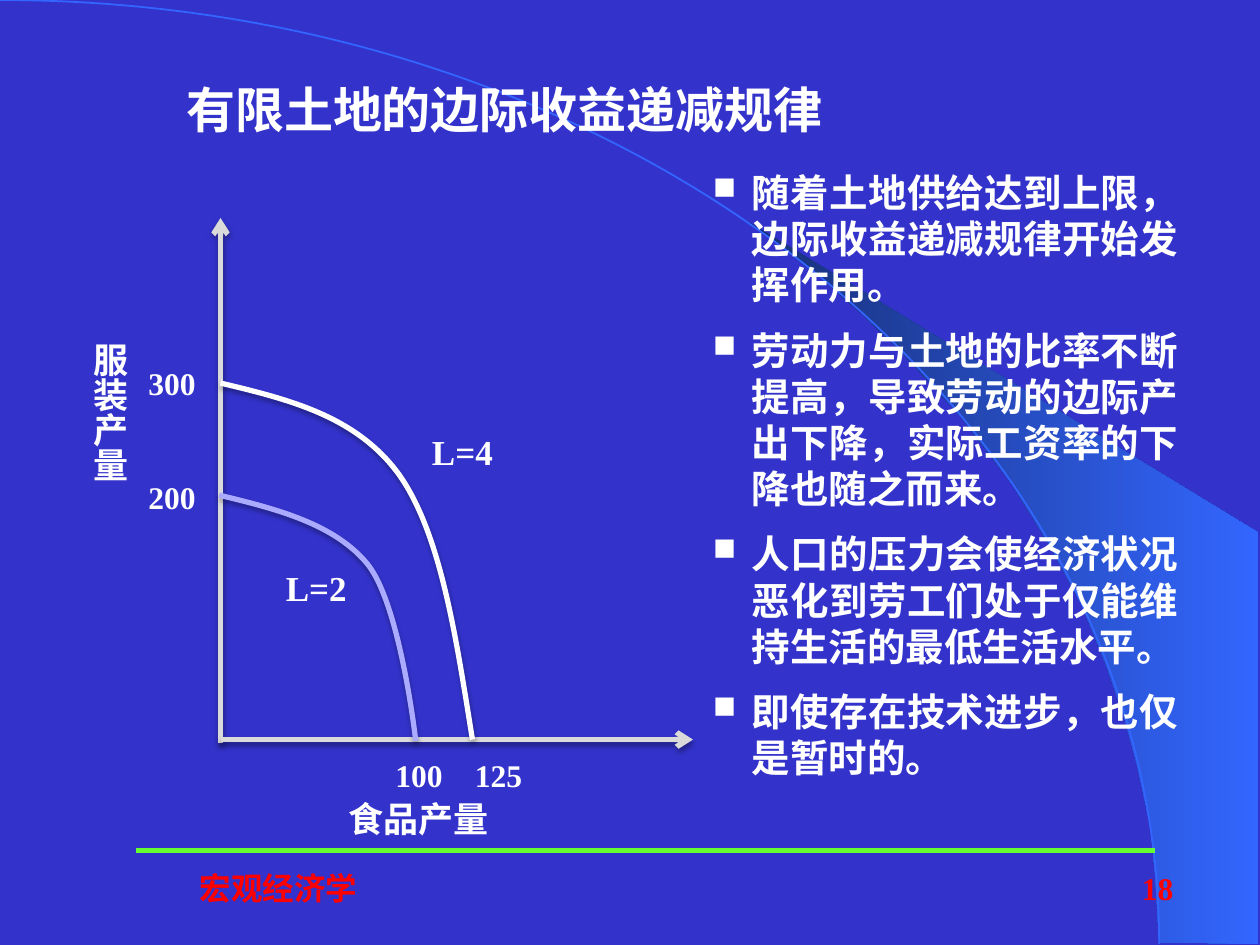
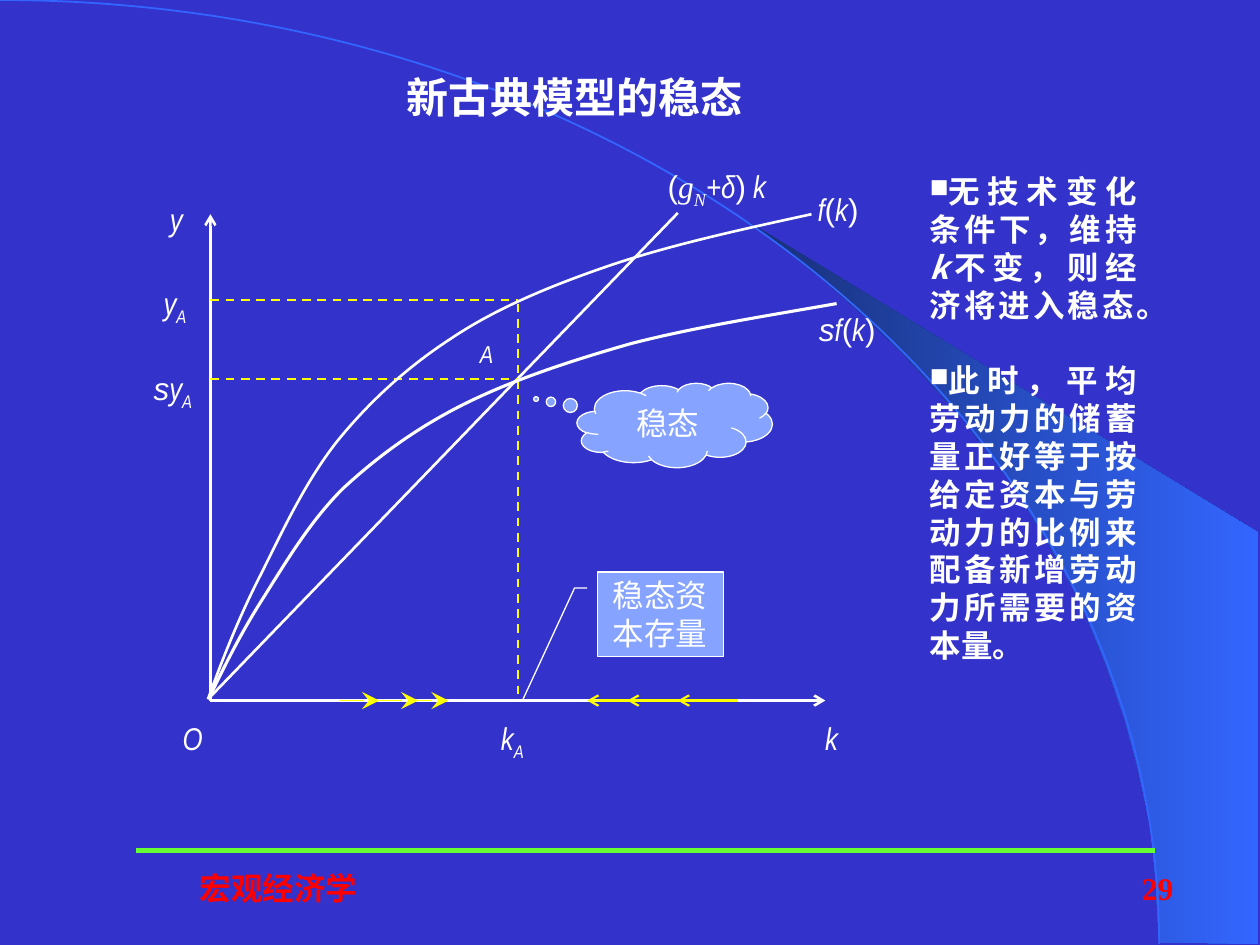
from lxml import etree
from pptx import Presentation
from pptx.dml.color import RGBColor
from pptx.enum import dml, shapes, text
from pptx.oxml import ns
from pptx.util import Inches, Pt

WHITE, YELLOW, GREY, LILAC = "FFFFFF", "FFFF00", "DADADA", "AAAAFF"
BACK, ARC, GREEN = "3333CC", "3366FF", "66FF33"
RED, PALE = "FF0000", "85A3FF"
CJK, TIMES, ARIAL, NARROW = "Noto Sans CJK SC", "Times New Roman", "Arial", "Arial Narrow"
LEFT, MID, RIGHT, FULL = (text.PP_ALIGN.LEFT, text.PP_ALIGN.CENTER,
                          text.PP_ALIGN.RIGHT, text.PP_ALIGN.JUSTIFY)
LEADING = 1.2


def hue(code):
    return RGBColor.from_string(code)


def node(parent, tag, **attrs):
    child = etree.SubElement(parent, ns.qn(tag))
    for key, value in attrs.items():
        child.set(key, str(value))
    return child


def effect(shape, shadow):
    """Replace the theme's shadow by a soft one, or by none."""
    fx = node(shape.element.spPr, "a:effectLst")
    if shadow:
        cast = node(fx, "a:outerShdw", blurRad=Pt(3.1), dist=Pt(1.8),
                    dir=5400000, rotWithShape=0)
        node(node(cast, "a:srgbClr", val="000000"), "a:alpha", val=35000)


def bend(shape):
    """Join each three straight steps of an outline into one cubic curve."""
    steps = list(shape.element.spPr.iter(ns.qn("a:lnTo")))
    for i in range(0, len(steps), 3):
        cubic = etree.Element(ns.qn("a:cubicBezTo"))
        steps[i].addprevious(cubic)
        for step in steps[i:i + 3]:
            cubic.append(step[0])
            step.getparent().remove(step)


def style(run, size, font, color, bold=False, marks=""):
    """Format a run; marks holds i for italic and s for subscript."""
    run.font.size, run.font.name, run.font.bold = Pt(size), font, bold
    run.font.italic = "i" in marks
    run.font.color.rgb = hue(color)
    props = run.font._element
    node(props, "a:ea", typeface=CJK)
    if "s" in marks:
        props.set("baseline", "-25000")


def write(para, runs, size, font=CJK, color=WHITE, bold=False, align=LEFT):
    """Fill a paragraph with a string or with (text, font, marks) runs."""
    if isinstance(runs, str):
        runs = [(runs, font, "")]
    para.alignment, para.line_spacing = align, Pt(size * LEADING)
    for words, face, marks in runs:
        run = para.add_run()
        run.text = words
        style(run, size, face, color, bold, marks)


def bullet(para, indent=0):
    props = para._p.get_or_add_pPr()
    props.set("marL", str(Inches(indent)))
    props.set("indent", str(-Inches(indent)))
    node(props, "a:buSzPct", val=82000)
    node(props, "a:buChar", char="■")


def tabs(frame, *stops):
    rail = node(frame.paragraphs[0]._p.get_or_add_pPr(), "a:tabLst")
    for stop in stops:
        node(rail, "a:tab", pos=Inches(stop), algn="l")


class Region:
    """A part of a slide, drawn in inches from its own top left corner."""

    def __init__(self, slide, left, top):
        self.shapes, self.left, self.top = slide.shapes, left, top

    def spot(self, x, y):
        return Inches(self.left + x), Inches(self.top + y)

    def line(self, start, end, color, width, head=None, tail=None, dash=False,
             shadow=False):
        link = self.shapes.add_connector(shapes.MSO_CONNECTOR.STRAIGHT,
                                         *self.spot(*start), *self.spot(*end))
        link.line.color.rgb, link.line.width = hue(color), Pt(width)
        if dash:
            link.line.dash_style = dml.MSO_LINE.DASH
        if head:
            node(link.line._get_or_add_ln(), "a:headEnd", type=head, w="lg", len="lg")
        if tail:
            node(link.line._get_or_add_ln(), "a:tailEnd", type=tail)
        effect(link, shadow)

    def outline(self, points, close=False):
        first, *rest = [self.spot(*p) for p in points]
        pen = self.shapes.build_freeform(*first)
        pen.add_line_segments(rest, close=close)
        return pen.convert_to_shape()

    def curve(self, points, color, width, shadow=False):
        """Draw a start point and triples of cubic control points."""
        arc = self.outline(points)
        bend(arc)
        arc.fill.background()
        arc.line.color.rgb, arc.line.width = hue(color), Pt(width)
        effect(arc, shadow)

    def label(self, box, runs, size=18, anchor=text.MSO_ANCHOR.TOP, **look):
        x, y, width, height = box
        area = self.shapes.add_textbox(*self.spot(x, y), Inches(width), Inches(height))
        frame = area.text_frame
        frame.word_wrap, frame.vertical_anchor = True, anchor
        write(frame.paragraphs[0], runs, size, **look)
        return frame

    def stack(self, box, items, size, gap, **look):
        """Write one paragraph for each item, with a gap between them."""
        frame = self.label(box, items[0], size, **look)
        look.pop("anchor", None)
        for item in items[1:]:
            para = frame.add_paragraph()
            write(para, item, size, **look)
            para.space_before = Pt(gap)
        return frame

    def bullets(self, box, items, size, gap, indent=0):
        frame = self.stack(box, items, size, gap, bold=True, align=FULL)
        for para in frame.paragraphs:
            bullet(para, indent)

    def callout(self, kind, box, words, tip):
        x, y, width, height = box
        note = self.shapes.add_shape(kind, *self.spot(x, y), Inches(width), Inches(height))
        for i, value in enumerate(tip):
            note.adjustments[i] = value
        note.fill.solid()
        note.fill.fore_color.rgb = hue(PALE)
        note.line.color.rgb, note.line.width = hue(WHITE), Pt(0.75)
        note.shadow.inherit = False
        note.text_frame.word_wrap = True
        note.text_frame.vertical_anchor = text.MSO_ANCHOR.MIDDLE
        write(note.text_frame.paragraphs[0], words, 18, font=TIMES, align=MID)


def backdrop(slide):
    slide.background.fill.solid()
    slide.background.fill.fore_color.rgb = hue(BACK)
    page = Region(slide, 0, 0)
    sweep = page.outline([
        (9.2, 7.48), (9.99, 7.49), (9.99, 4.23), (5.89, 1.73), (6.24, 1.99),
        (6.53, 2.22), (6.85, 2.5), (7.16, 2.8), (7.62, 3.3), (8.03, 3.84),
        (8.32, 4.31), (8.58, 4.79), (8.78, 5.28), (8.93, 5.72), (9.03, 6.09),
        (9.13, 6.56), (9.17, 6.96), (9.2, 7.48)])
    sweep.fill.gradient()
    sweep.fill.gradient_angle = 0
    for stop, place in zip(sweep.fill.gradient_stops, (0, 1)):
        stop.color.rgb, stop.position = hue(ARC), place
    dark = next(sweep.element.spPr.iter(ns.qn("a:srgbClr")))
    node(dark, "a:gamma")
    node(dark, "a:shade", val=46275)
    node(dark, "a:invGamma")
    sweep.line.fill.background()
    effect(sweep, False)
    page.curve([(0, 0), (5.08, 0), (9.2, 3.35), (9.2, 7.49)], ARC, 1)


def footer(slide, number):
    foot = Region(slide, 0, 6.75)
    foot.line((1.08, 0), (9.17, 0), GREEN, 3)
    look = dict(font=TIMES, color=RED, bold=True, anchor=text.MSO_ANCHOR.MIDDLE)
    foot.label((0.42, 0.05, 3.58, 0.5), "宏观经济学", align=MID, **look)
    foot.label((7.33, 0.05, 2.08, 0.5), str(number), align=RIGHT, **look)


def add_page(deck, number, title, box, size):
    slide = deck.slides.add_slide(deck.slide_layouts[6])
    backdrop(slide)
    footer(slide, number)
    Region(slide, 0, 0).label(box, title, size, bold=True)
    return slide


def frontier(slide, left, top):
    """Plot of the output limits for two amounts of labour."""
    plot = Region(slide, left, top)
    for start, end in (((1.25, 4.4), (1.25, 0.23)), ((1.25, 4.37), (5, 4.37))):
        plot.line(start, end, GREY, 3, tail="arrow", shadow=True)
    plot.curve([(1.24, 2.43), (1.7, 2.54), (2.16, 2.66), (2.42, 2.98),
                (2.68, 3.31), (2.8, 4.38), (2.8, 4.38)], LILAC, 3, shadow=True)
    plot.curve([(1.25, 1.54), (1.79, 1.67), (2.33, 1.8), (2.67, 2.27),
                (3, 2.74), (3.12, 3.56), (3.25, 4.37)], WHITE, 3, shadow=True)
    plot.label((2.17, 4.78, 2.25, 0.44), "食品产量", 20, bold=True)
    ticks = plot.label((2.17, 4.45, 2.67, 0.4), "\t100\t125", font=TIMES, bold=True)
    tabs(ticks, 0.37, 1)
    plot.stack((0.58, 0.12, 0.67, 2.52), ["300", "200"], 18, gap=43.5, font=TIMES,
               bold=True, anchor=text.MSO_ANCHOR.BOTTOM)
    upright = plot.label((0.05, 1.12, 0.54, 2.83), "服装产量", 20, bold=True)
    upright._txBody.bodyPr.set("vert", "eaVert")
    for words, x, y in (("L=4", 2.83, 1.87), ("L=2", 1.67, 2.95)):
        plot.label((x, y, 0.75, 0.44), words, 20, font=TIMES, bold=True)


def steady(slide, left, top):
    """Plot of output, saving and capital need against capital per worker."""
    plot = Region(slide, left, top)
    base, mark = 4.56, 3.11
    plot.line((0.67, base), (5.55, base), WHITE, 1.5, tail="arrow")
    plot.line((0.67, base), (0.67, 0.7), WHITE, 1.5, tail="arrow")
    plot.line((0.66, 4.54), (4.38, 0.69), WHITE, 1.5)
    for start, end in (((0.67, 2.01), (mark, 2.01)), ((0.67, 1.38), (mark, 1.38)),
                       ((mark, 1.41), (mark, base))):
        plot.line(start, end, YELLOW, 1.25, dash=True)
    for start, end in ((2.01, 1.69), (2.32, 2.01), (2.56, 2.32)):
        plot.line((start, base), (end, base), YELLOW, 0.75, head="stealth")
    for start, end in ((4.52, 3.66), (4.29, 3.98), (4.86, 4.38)):
        plot.line((start, base), (end, base), YELLOW, 1.25, tail="arrow")

    y, k, f = [(c, NARROW, "i") for c in "ykf"]
    low, s = ("A", NARROW, "is"), ("s", ARIAL, "i")
    begin, end = ("(", ARIAL, ""), (")", ARIAL, "")
    need = [begin, ("g", TIMES, "i"), ("N", TIMES, "is"), ("+δ", NARROW, "i"),
            end, (" k", NARROW, "i")]
    labels = (
        (0.35, 4.66, 0.55, [("O", NARROW, "i")]), (0.25, 0.54, 0.63, [y]),
        (4.2, 0.32, 1.28, need), (0.2, 1.25, 0.47, [y, low]),
        (0.12, 1.92, 0.71, [s, y, low]), (5.39, 0.46, 0.94, [f, begin, k, end]),
        (5.4, 1.41, 0.71, [s, f, begin, k, end]))
    for x, drop, width, runs in labels:
        plot.label((x, drop, width, 0.4), runs)
    capital = plot.label((2.82, 4.7, 2.99, 0.4),
                         [(" k", NARROW, "i"), low, ("\tk", NARROW, "i")])
    tabs(capital, 2.63)
    plot.label((2.71, 1.64, 0.47, 0.33), [("A", NARROW, "i")], 14)

    kinds = shapes.MSO_SHAPE
    plot.callout(kinds.CLOUD_CALLOUT, (3.58, 2.04, 1.55, 0.67), "稳态", (-0.71, -0.31))
    plot.callout(kinds.LINE_CALLOUT_2, (3.74, 3.54, 1, 0.67), "稳态资本存量",
                 (0.19, -0.08, 0.19, -0.18, 1.51, -0.59))
    plot.curve([(0.66, 4.54), (0.79, 4.27), (0.92, 4.01), (1.1, 3.73), (1.27, 3.46),
                (1.46, 3.14), (1.72, 2.88), (1.99, 2.63), (2.3, 2.4), (2.68, 2.21),
                (3.06, 2.02), (3.51, 1.87), (4, 1.73), (4.5, 1.6), (5.07, 1.51),
                (5.64, 1.41)], WHITE, 1.75)
    plot.curve([(0.65, 4.55), (0.77, 4.22), (0.9, 3.89), (1.07, 3.56), (1.24, 3.22),
                (1.42, 2.83), (1.67, 2.51), (1.92, 2.2), (2.22, 1.92), (2.59, 1.68),
                (2.95, 1.44), (3.39, 1.26), (3.86, 1.1), (4.34, 0.94), (4.89, 0.82),
                (5.44, 0.7)], WHITE, 1.5)


def main():
    deck = Presentation()
    deck.slide_width, deck.slide_height = Inches(10), Inches(7.5)

    slide = add_page(deck, 18, "有限土地的边际收益递减规律", (1.38, 0.58, 5.42, 0.57), 28)
    frontier(slide, 0.5, 1.5)
    Region(slide, 5.56, 1.29).bullets((0, 0, 3.89, 5.47), [
        "随着土地供给达到上限，边际收益递减规律开始发挥作用。",
        "劳动力与土地的比率不断提高，导致劳动的边际产出下降，实际工资率的下降也随之而来。",
        "人口的压力会使经济状况恶化到劳工们处于仅能维持生活的最低生活水平。",
        "即使存在技术进步，也仅是暂时的。"], 22, gap=11, indent=0.31)

    slide = add_page(deck, 29, "新古典模型的稳态", (3.13, 0.52, 2.91, 0.5), 24)
    steady(slide, 1, 1)
    Region(slide, 7.28, 1.32).bullets((0, 0, 1.84, 4.34), [
        [("无技术变化条件下，维持", CJK, ""), ("k", CJK, "i"),
         ("不变，则经济将进入稳态。", CJK, "")],
        "此时，平均劳动力的储蓄量正好等于按给定资本与劳动力的比例来配备新增劳动力所需要的资本量。",
    ], 18, gap=21.6)
    deck.save("out.pptx")


if __name__ == "__main__":
    main()
